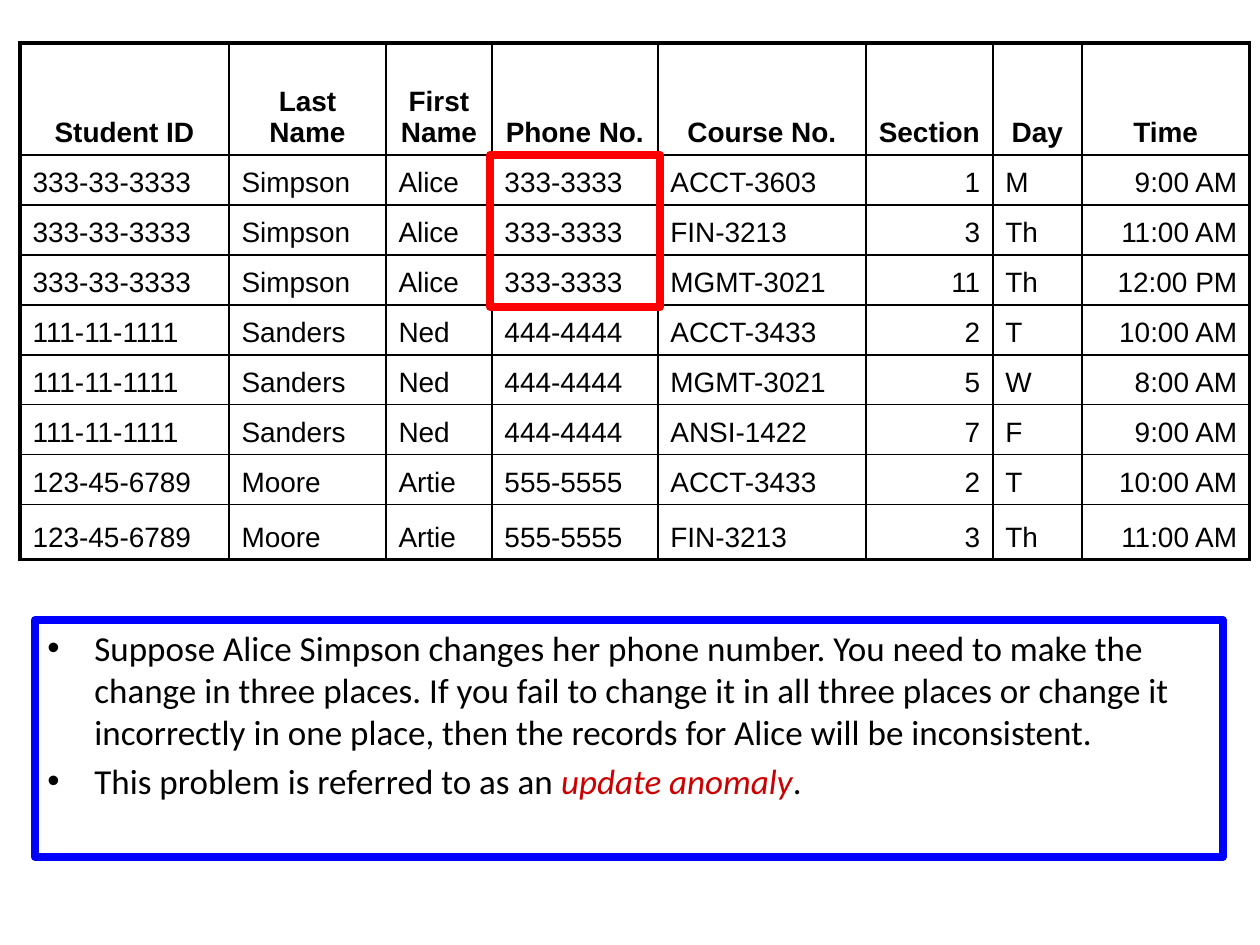
from lxml import etree
from pptx import Presentation
from pptx.dml.color import RGBColor
from pptx.enum.shapes import MSO_SHAPE
from pptx.enum.text import MSO_ANCHOR, PP_ALIGN
from pptx.oxml.ns import qn
from pptx.util import Pt

PX = 914400 // 126
RECTANGLE = MSO_SHAPE.RECTANGLE
TOP, BOTTOM = MSO_ANCHOR.TOP, MSO_ANCHOR.BOTTOM
LEFT, CENTER, RIGHT = PP_ALIGN.LEFT, PP_ALIGN.CENTER, PP_ALIGN.RIGHT

BLACK = RGBColor(0x00, 0x00, 0x00)
WHITE = RGBColor(0xFF, 0xFF, 0xFF)
BLUE = RGBColor(0x00, 0x00, 0xFF)
RED = RGBColor(0xFF, 0x00, 0x00)
DARK_RED = RGBColor(0xCC, 0x00, 0x00)

COLUMN_WIDTHS = [209, 157, 106, 166, 208, 127, 89, 168]
ROW_HEIGHTS = [112] + [50] * 7 + [55]
RIGHT_COLUMNS = {"Section", "Time"}
PHONE_COLUMN = 3
ALICE_ROWS = 3

HEADERS = ["Student ID", "Last Name", "First Name", "Phone No.",
           "Course No.", "Section", "Day", "Time"]
STUDENTS = {
    "Alice": ["333-33-3333", "Simpson", "Alice", "333-3333"],
    "Ned": ["111-11-1111", "Sanders", "Ned", "444-4444"],
    "Artie": ["123-45-6789", "Moore", "Artie", "555-5555"],
}
ENROLLMENTS = [
    ("Alice", "ACCT-3603", "1", "M", "9:00 AM"),
    ("Alice", "FIN-3213", "3", "Th", "11:00 AM"),
    ("Alice", "MGMT-3021", "11", "Th", "12:00 PM"),
    ("Ned", "ACCT-3433", "2", "T", "10:00 AM"),
    ("Ned", "MGMT-3021", "5", "W", "8:00 AM"),
    ("Ned", "ANSI-1422", "7", "F", "9:00 AM"),
    ("Artie", "ACCT-3433", "2", "T", "10:00 AM"),
    ("Artie", "FIN-3213", "3", "Th", "11:00 AM"),
]
NOTES = [
    [("Suppose Alice Simpson changes her phone number. You need to make the "
      "change in three places. If you fail to change it in all three places "
      "or change it incorrectly in one place, then the records for Alice "
      "will be inconsistent.", False)],
    [("This problem is referred to as an ", False),
     ("update anomaly", True),
     (".", False)],
]


def add_span(para, text, font, size, color, bold=False, italic=False):
    span = para.add_run()
    span.text = text
    span.font.name = font
    span.font.size = Pt(size)
    span.font.color.rgb = color
    span.font.bold = bold
    span.font.italic = italic


def set_borders(cell, outer_sides):
    properties = cell._tc.get_or_add_tcPr()
    for side in "LRTB":
        width = Pt(2 if side in outer_sides else 1)
        line = etree.SubElement(properties, qn(f"a:ln{side}"), w=str(width))
        fill = etree.SubElement(line, qn("a:solidFill"))
        etree.SubElement(fill, qn("a:srgbClr"), val=str(BLACK))


def add_bullet(para, indent):
    properties = para._p.get_or_add_pPr()
    properties.set("marL", str(indent * PX))
    properties.set("indent", str(-indent * PX))
    color = etree.SubElement(properties, qn("a:buClr"))
    etree.SubElement(color, qn("a:srgbClr"), val=str(BLACK))
    etree.SubElement(properties, qn("a:buFont"), typeface="Arial")
    etree.SubElement(properties, qn("a:buChar"), char="•")


def add_frame(page, left, top, width, height, color):
    frame = page.shapes.add_shape(
        RECTANGLE, left * PX, top * PX, width * PX, height * PX)
    frame.shadow.inherit = False
    frame.fill.background()
    frame.line.color.rgb = color
    frame.line.width = Pt(4.5)
    return frame


def add_enrollment_table(page, left, top):
    rows = [HEADERS] + [STUDENTS[name] + course for name, *course in ENROLLMENTS]
    table = page.shapes.add_table(
        len(rows), len(HEADERS), left * PX, top * PX,
        sum(COLUMN_WIDTHS) * PX, sum(ROW_HEIGHTS) * PX).table
    table.first_row = False
    table.horz_banding = False
    for column, width in zip(table.columns, COLUMN_WIDTHS):
        column.width = width * PX
    for row, height in zip(table.rows, ROW_HEIGHTS):
        row.height = height * PX

    for r, values in enumerate(rows):
        for c, value in enumerate(values):
            cell = table.cell(r, c)
            outer_sides = {side for side, at_edge in (
                ("L", c == 0), ("R", c == len(HEADERS) - 1),
                ("T", r == 0), ("B", r == len(rows) - 1)) if at_edge}
            set_borders(cell, outer_sides)
            cell.fill.background()
            cell.vertical_anchor = BOTTOM
            para = cell.text_frame.paragraphs[0]
            if r == 0:
                para.alignment = CENTER
            else:
                para.alignment = RIGHT if HEADERS[c] in RIGHT_COLUMNS else LEFT
            add_span(para, value, "Arial", 16, BLACK, bold=r == 0)


def add_notes_box(page, left, top, width, height):
    box = add_frame(page, left, top, width, height, BLUE)
    box.fill.solid()
    box.fill.fore_color.rgb = WHITE
    text = box.text_frame
    text.word_wrap = True
    text.vertical_anchor = TOP
    for index, spans in enumerate(NOTES):
        para = text.add_paragraph() if index else text.paragraphs[0]
        para.alignment = LEFT
        add_bullet(para, 47)
        if index:
            para.space_before = Pt(4)
        for words, is_term in spans:
            add_span(para, words, "Calibri", 20,
                     DARK_RED if is_term else BLACK, italic=is_term)


def add_phone_highlight(page, table_left, table_top):
    add_frame(page,
              table_left + sum(COLUMN_WIDTHS[:PHONE_COLUMN]) - 2,
              table_top + ROW_HEIGHTS[0],
              COLUMN_WIDTHS[PHONE_COLUMN] + 4,
              sum(ROW_HEIGHTS[1:ALICE_ROWS + 1]) + 2,
              RED)


def main():
    deck = Presentation()
    deck.slide_width = 1260 * PX
    deck.slide_height = 945 * PX
    page = deck.slides.add_slide(deck.slide_layouts[6])
    add_enrollment_table(page, 20, 43)
    add_notes_box(page, 35, 620, 1188, 237)
    add_phone_highlight(page, 20, 43)
    deck.save("out.pptx")


if __name__ == "__main__":
    main()
